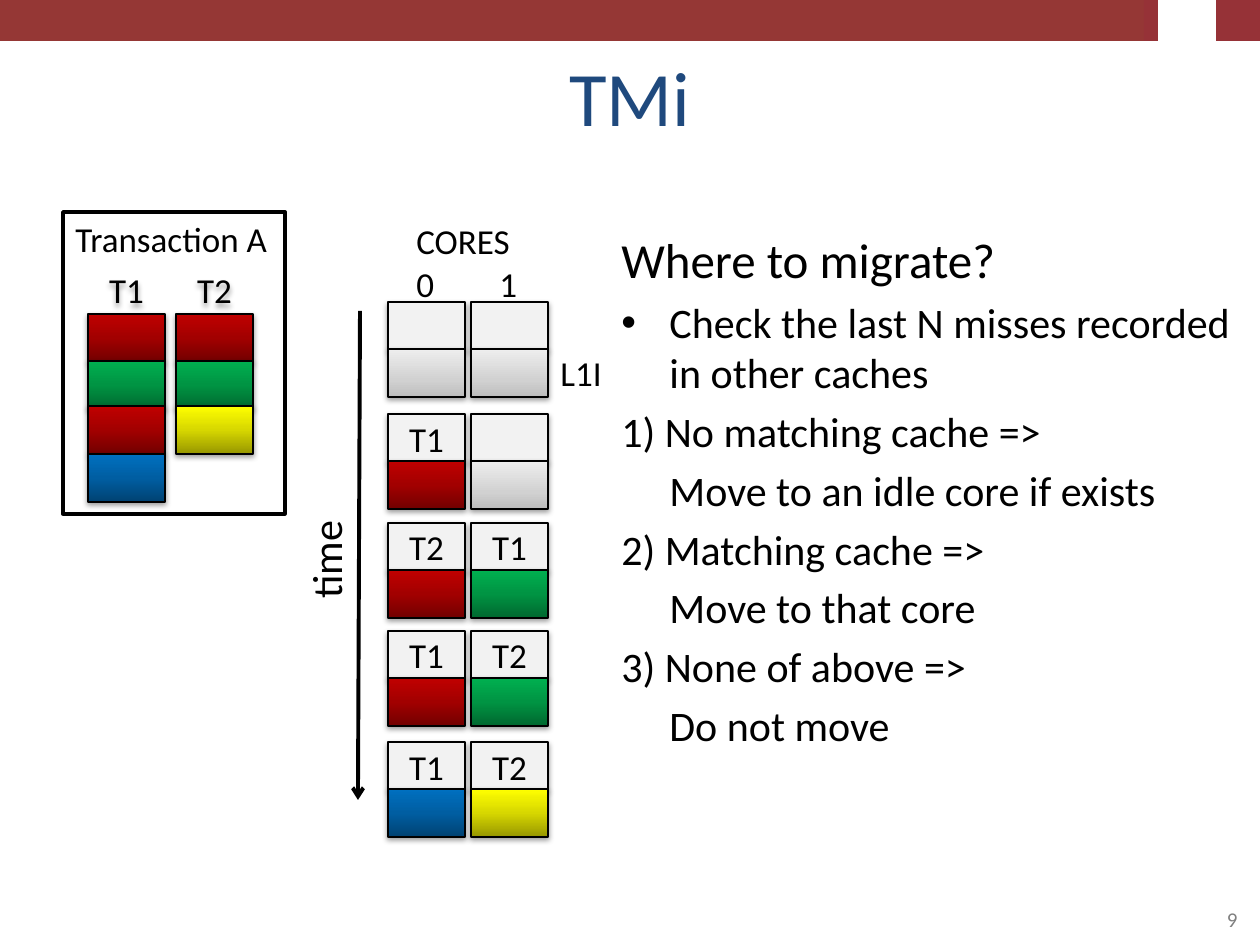
from dataclasses import dataclass

from lxml import etree
from pptx import Presentation
from pptx.dml.color import RGBColor
from pptx.enum.shapes import MSO_CONNECTOR, MSO_SHAPE
from pptx.enum.text import MSO_ANCHOR, MSO_AUTO_SIZE, PP_ALIGN
from pptx.oxml.ns import qn
from pptx.util import Emu, Pt

EMU_PER_PIXEL = 914400 / 126
RECT, STRAIGHT = MSO_SHAPE.RECTANGLE, MSO_CONNECTOR.STRAIGHT
LEFT, CENTER, RIGHT = PP_ALIGN.LEFT, PP_ALIGN.CENTER, PP_ALIGN.RIGHT
TOP, MIDDLE, BOTTOM = MSO_ANCHOR.TOP, MSO_ANCHOR.MIDDLE, MSO_ANCHOR.BOTTOM


@dataclass(frozen=True)
class Theme:
    """Colours, gradients (position in percent, colour) and type sizes."""
    font: str = "Calibri"
    ink: str = "000000"
    paper: str = "FFFFFF"
    title: str = "1F497D"
    muted: str = "808080"
    band: str = "953735"
    band_end: str = "963237"
    core: str = "F2F2F2"
    idle: tuple = ((0, "BDBDBD"), (35, "D1D1D1"), (100, "EEEEEE"))
    red: tuple = ((0, "720000"), (50, "A20000"), (100, "C00000"))
    green: tuple = ((0, "00682F"), (50, "009443"), (100, "00B050"))
    blue: tuple = ((0, "004272"), (50, "005EA2"), (100, "0070C0"))
    yellow: tuple = ((0, "979700"), (50, "D7D700"), (100, "FFFF00"))
    title_size: int = 44
    heading_size: int = 28
    body_size: int = 24
    label_size: int = 20
    number_size: int = 12


def px(pixels):
    """Turn pixels into EMU."""
    return Emu(round(pixels * EMU_PER_PIXEL))


def rgb(colour):
    """Turn a hex string into a colour."""
    return RGBColor.from_string(colour)


class SlideBuilder:
    """Draws themed elements on one slide."""

    def __init__(self, slide, theme):
        """Keep the slide and its style."""
        self.shapes, self.theme = slide.shapes, theme

    def add_run(self, paragraph, text, size, colour=None):
        """Add one styled run to a paragraph."""
        run = paragraph.add_run()
        run.text = text
        run.font.name, run.font.size = self.theme.font, Pt(size)
        run.font.color.rgb = rgb(colour or self.theme.ink)

    def add_shadow(self, shape):
        """Give a shape a soft shadow just below it."""
        shape.shadow.inherit = False
        effects = shape._element.spPr.find(qn("a:effectLst"))
        outer = etree.SubElement(effects, qn("a:outerShdw"), blurRad="40000",
                                 dist="20000", dir="5400000", rotWithShape="0")
        colour = etree.SubElement(outer, qn("a:srgbClr"), val=self.theme.ink)
        etree.SubElement(colour, qn("a:alpha"), val="38000")

    def fill_gradient(self, shape, stops):
        """Fill a shape with a gradient that runs upwards."""
        shape.fill.gradient()
        shape.fill.gradient_angle = 90
        stop_list = shape._element.spPr.find(qn("a:gradFill")).find(qn("a:gsLst"))
        for stop in list(stop_list):
            stop_list.remove(stop)
        for position, colour in stops:
            stop = etree.SubElement(stop_list, qn("a:gs"), pos=str(position * 1000))
            etree.SubElement(stop, qn("a:srgbClr"), val=colour)

    def box(self, x, y, w, h, fill=None, line=None):
        """Add a rectangle with a flat, gradient or empty fill."""
        shape = self.shapes.add_shape(RECT, px(x), px(y), px(w), px(h))
        shape.shadow.inherit = False
        if fill is None:
            shape.fill.background()
        elif isinstance(fill, tuple):
            self.fill_gradient(shape, fill)
        else:
            shape.fill.solid()
            shape.fill.fore_color.rgb = rgb(fill)
        if line:
            shape.line.color.rgb, shape.line.width = rgb(self.theme.ink), Pt(line)
        else:
            shape.line.fill.background()
        return shape

    def cell(self, x, y, fill, thread=""):
        """Add one cache or core cell, with its thread if it runs one."""
        shape = self.box(x, y, 77, 48, fill, 0.75)
        self.add_shadow(shape)
        if thread:
            frame = shape.text_frame
            frame.vertical_anchor = MIDDLE
            frame.paragraphs[0].alignment = CENTER
            self.add_run(frame.paragraphs[0], thread, self.theme.label_size)

    def text(self, x, y, w, h, words, size, colour=None, align=LEFT,
             anchor=TOP, wrap=True):
        """Add a text box with one line of text."""
        shape = self.shapes.add_textbox(px(x), px(y), px(w), px(h))
        frame = shape.text_frame
        frame.word_wrap, frame.vertical_anchor = wrap, anchor
        if not wrap:
            frame.auto_size = MSO_AUTO_SIZE.SHAPE_TO_FIT_TEXT
        frame.paragraphs[0].alignment = align
        self.add_run(frame.paragraphs[0], words, size, colour)
        return shape

    def outline(self, x, y, w, h, items):
        """Add paragraphs given as text, size, left indent and bullet."""
        frame = self.shapes.add_textbox(px(x), px(y), px(w), px(h)).text_frame
        frame.word_wrap = True
        for index, (words, size, indent, bullet) in enumerate(items):
            paragraph = frame.add_paragraph() if index else frame.paragraphs[0]
            paragraph.space_before = Pt(size * 0.2)
            properties = paragraph._p.get_or_add_pPr()
            properties.set("marL", str(px(indent)))
            properties.set("indent", str(-px(indent) if bullet else 0))
            if bullet:
                etree.SubElement(properties, qn("a:buFont"), typeface="Arial")
                etree.SubElement(properties, qn("a:buChar"), char=bullet)
            self.add_run(paragraph, words, size)

    def arrow(self, x1, y1, x2, y2, width):
        """Add a line with an open arrowhead at its end."""
        line = self.shapes.add_connector(STRAIGHT, px(x1), px(y1), px(x2), px(y2))
        line.line.color.rgb, line.line.width = rgb(self.theme.ink), Pt(width)
        etree.SubElement(line.line._get_or_add_ln(), qn("a:tailEnd"), type="arrow")
        etree.SubElement(line._element.spPr, qn("a:effectLst"))


def main():
    """Build the slide and save it."""
    deck = Presentation()
    deck.slide_width, deck.slide_height = px(1260), px(945)
    theme = Theme()
    page = SlideBuilder(deck.slides.add_slide(deck.slide_layouts[6]), theme)
    label, body = theme.label_size, theme.body_size

    page.box(0, 0, 1144, 41, theme.band)
    page.box(1144, 0, 116, 41, theme.band_end)
    page.box(1158, 0, 58, 41, theme.paper)
    page.text(63, 38, 1134, 110, "TMi", theme.title_size, theme.title, CENTER, BOTTOM)
    page.text(914, 872, 336, 66, "9", theme.number_size, theme.muted, RIGHT, BOTTOM)

    core_columns = (388, 471)
    for number, x in enumerate(core_columns):
        page.text(x + 16, 256, 43, 55, str(number), label, wrap=False)
    steps = (
        (302, ("", theme.idle), ("", theme.idle)),
        (414, ("T1", theme.red), ("", theme.idle)),
        (523, ("T2", theme.red), ("T1", theme.green)),
        (631, ("T1", theme.red), ("T2", theme.green)),
        (742, ("T1", theme.blue), ("T2", theme.yellow)),
    )
    for y, *cores in steps:
        for x, (thread, cache) in zip(core_columns, cores):
            page.cell(x, y, theme.core, thread)
            page.cell(x, y + 47, cache)
    page.text(404, 213, 120, 55, "CORES", label, wrap=False)
    page.text(548, 345, 67, 55, "L1I", label, wrap=False)

    page.outline(609, 223, 651, 571, (
        ("Where to migrate?", theme.heading_size, 0, ""),
        ("Check the last N misses recorded in other caches", body, 48, "•"),
        ("1) No matching cache =>", body, 0, ""),
        ("Move to an idle core if exists", body, 48, ""),
        ("2) Matching cache =>", body, 0, ""),
        ("Move to that core", body, 48, ""),
        ("3) None of above =>", body, 0, ""),
        ("Do not move", body, 48, ""),
    ))

    threads = (
        ("T2", 176, (theme.red, theme.green, theme.yellow)),
        ("T1", 88, (theme.red, theme.green, theme.red, theme.blue)),
    )
    for thread, x, blocks in threads:
        heading = page.text(x, 266, 77, 48, thread, label, align=CENTER, anchor=MIDDLE)
        page.add_shadow(heading)
        for offset, block in zip((0, 47, 92, 140), blocks):
            page.cell(x, 314 + offset, block)
    page.text(63, 211, 222, 55, "Transaction A", label)
    page.box(63, 212, 222, 302, line=2)

    page.arrow(360, 311, 358, 800, 2.25)
    page.text(273, 527, 105, 63, "time", body, wrap=False).rotation = 270
    deck.save("out.pptx")


main()
